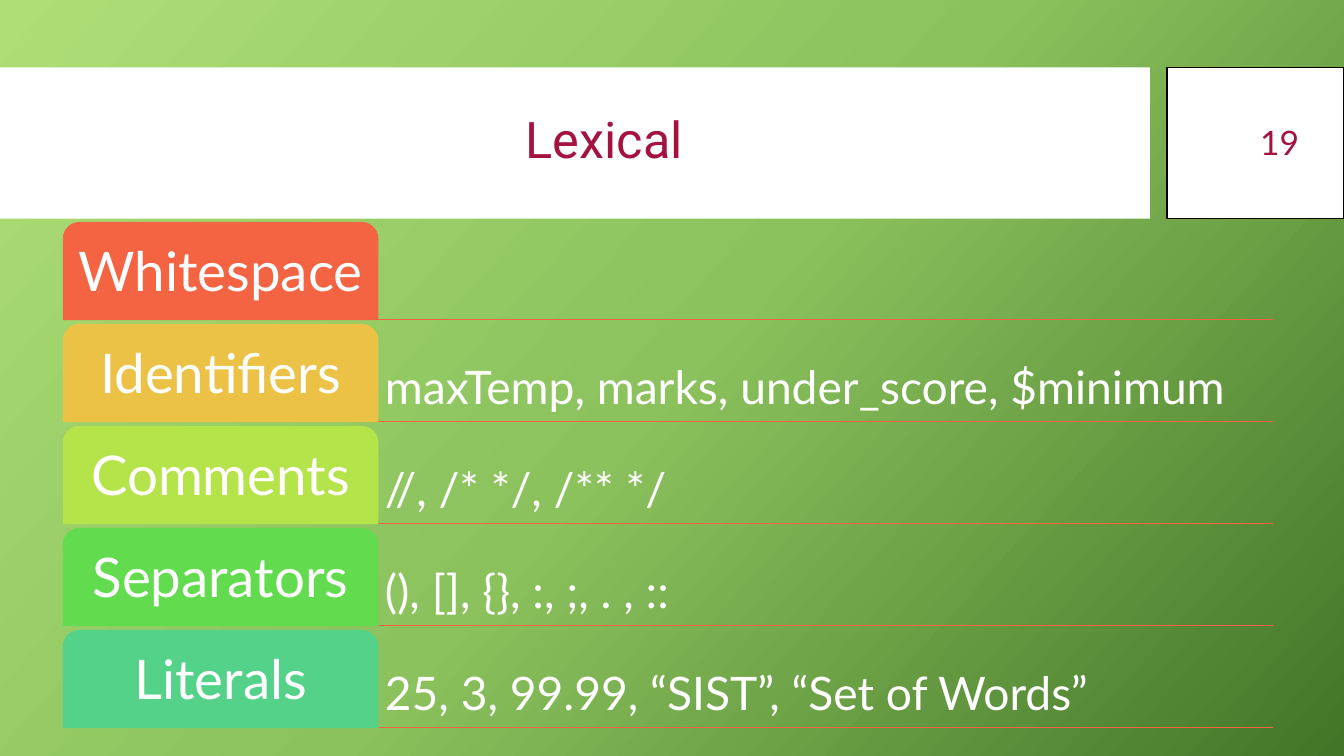
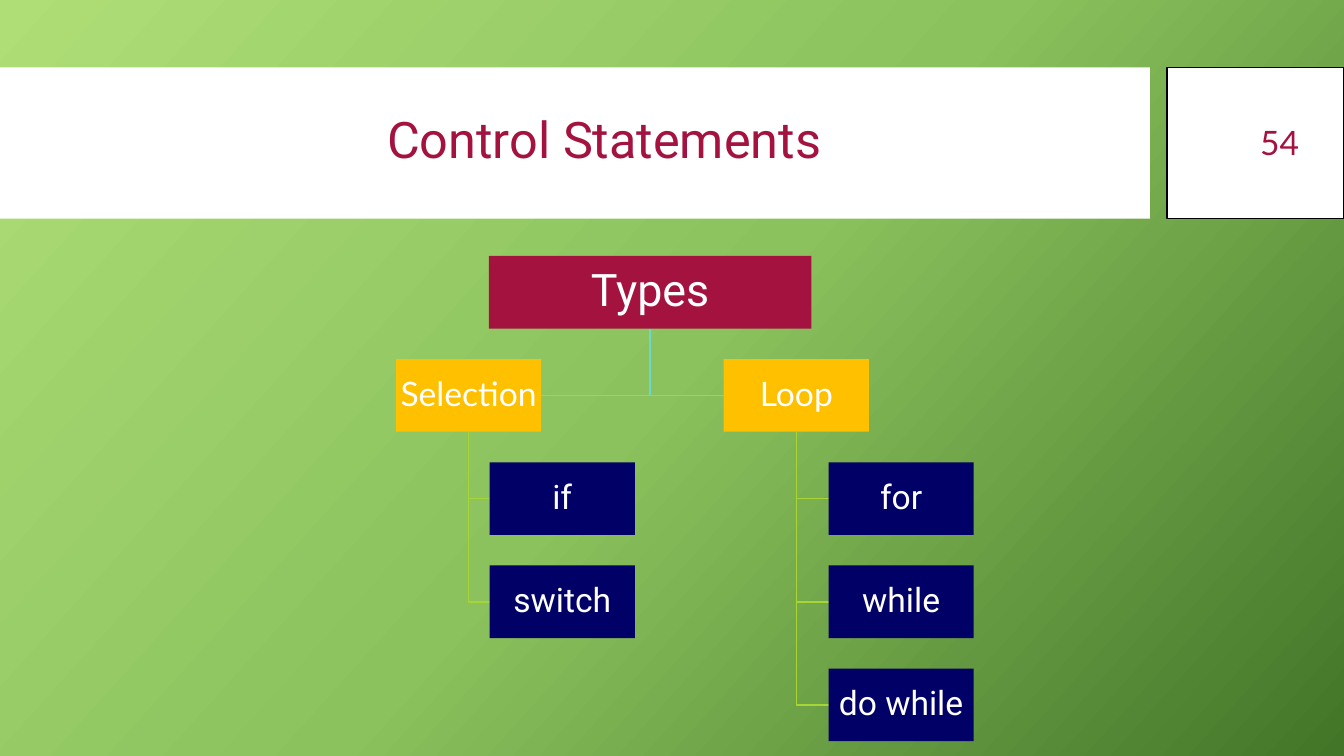
from lxml import etree
from pptx import Presentation
from pptx.dml.color import RGBColor
from pptx.enum.shapes import MSO_CONNECTOR, MSO_SHAPE
from pptx.enum.text import MSO_ANCHOR, PP_ALIGN
from pptx.oxml.ns import qn
from pptx.util import Cm, Pt

RECT, TAB = MSO_SHAPE.RECTANGLE, MSO_SHAPE.ROUND_2_SAME_RECTANGLE
STRAIGHT = MSO_CONNECTOR.STRAIGHT
MIDDLE, BOTTOM = MSO_ANCHOR.MIDDLE, MSO_ANCHOR.BOTTOM
LEFT, CENTER, RIGHT = PP_ALIGN.LEFT, PP_ALIGN.CENTER, PP_ALIGN.RIGHT

SLIDE_W, SLIDE_H = 33.87, 19.05
HEAD_FONT, BODY_FONT = "Roboto", "Lato"
WHITE, BLACK, CRIMSON = "FFFFFF", "000000", "A4123F"
ORANGE, GOLD, NAVY = "F46442", "FFC000", "000066"
TEAL, LIME = "6AD8CB", "A7D535"
BACKDROP = [(0, "AFDE77"), (50, "8BC25D"), (100, "437528")]
BACKDROP_ANGLE = 42

TOKENS = [
    ("Whitespace", "", ORANGE),
    ("Identifiers", "maxTemp, marks, under_score, $minimum", "ECC246"),
    ("Comments", "//, /* */, /** */", "B5E44A"),
    ("Separators", "(), [], {}, :, ;, . , ::", "62DB4F"),
    ("Literals", "25, 3, 99.99, “SIST”, “Set of Words”", "54D289"),
]
BRANCHES = [
    ("Selection", 0, 2.36, ["if", "switch"]),
    ("Loop", 8.26, 2.64, ["for", "while", "do while"]),
]


def rgb(value):
    """Turn a hex string into a colour."""
    return RGBColor.from_string(value)


def write(shape, text, size=24, font=BODY_FONT, color=WHITE, align=CENTER,
          anchor=MIDDLE, inset=0.25, spacing=0.9):
    """Put one formatted paragraph into a shape."""
    tf = shape.text_frame
    tf.word_wrap = True
    tf.vertical_anchor = anchor
    tf.margin_left = tf.margin_right = Cm(inset)
    tf.margin_top = tf.margin_bottom = Cm(min(inset, 0.2))
    p = tf.paragraphs[0]
    p.alignment = align
    p.line_spacing = spacing
    r = p.add_run()
    r.text = text
    r.font.size = Pt(size)
    r.font.name = font
    r.font.color.rgb = rgb(color)


def add_box(s, x, y, w, h, fill, line=None, kind=RECT):
    """Add a filled shape, with an outline if a line colour is given."""
    sp = s.shapes.add_shape(kind, Cm(x), Cm(y), Cm(w), Cm(h))
    sp.shadow.inherit = False
    sp.fill.solid()
    sp.fill.fore_color.rgb = rgb(fill)
    if line:
        sp.line.color.rgb = rgb(line)
        sp.line.width = Pt(1)
    else:
        sp.line.fill.background()
    return sp


def add_text(s, x, y, w, h, text, **style):
    """Add a text box."""
    sp = s.shapes.add_textbox(Cm(x), Cm(y), Cm(w), Cm(h))
    write(sp, text, **style)


def add_rule(s, x, y, w, color):
    """Add a horizontal line."""
    line = s.shapes.add_connector(STRAIGHT, Cm(x), Cm(y), Cm(x + w), Cm(y))
    line.line.color.rgb = rgb(color)
    line.line.width = Pt(1)
    etree.SubElement(line.element.spPr, qn("a:effectLst"))


def add_elbow(s, x1, y1, x2, y2, color):
    """Add a path that goes down and then sideways."""
    path = s.shapes.build_freeform(Cm(x1), Cm(y1))
    path.add_line_segments([(Cm(x1), Cm(y2)), (Cm(x2), Cm(y2))], close=False)
    sp = path.convert_to_shape()
    sp.shadow.inherit = False
    sp.fill.background()
    sp.line.color.rgb = rgb(color)
    sp.line.width = Pt(1)


def paint_background(s):
    """Fill the slide with the three-stop gradient."""
    fill = s.background.fill
    fill.gradient()
    fill.gradient_angle = 360 - BACKDROP_ANGLE
    stops = next(s.element.iter(qn("a:gsLst")))
    for stop in list(stops):
        stops.remove(stop)
    for percent, color in BACKDROP:
        stop = etree.SubElement(stops, qn("a:gs"), pos=str(percent * 1000))
        etree.SubElement(stop, qn("a:srgbClr"), val=color)


def add_slide(prs, title, number):
    """Add a slide with the shared background, title band and number box."""
    s = prs.slides.add_slide(prs.slide_layouts[6])
    paint_background(s)
    add_box(s, 0, 1.7, 28.98, 3.81, WHITE)
    add_box(s, 29.41, 1.7, 4.46, 3.81, WHITE, line=BLACK)
    add_text(s, 1.88, 2.08, 26.7, 3, title, size=36, font=HEAD_FONT,
             color=CRIMSON)
    add_text(s, 29.79, 2.08, 3.2, 3.02, str(number), color=CRIMSON,
             align=RIGHT, spacing=1.0)
    return s


def add_token_list(s, x, y, w, rows):
    """Add coloured tabs, each with its examples above a rule."""
    tab_w, tab_h, pitch = 7.92, 2.44, 2.57
    for i, (label, examples, color) in enumerate(rows):
        top = y + i * pitch
        add_rule(s, x, top + tab_h, w, ORANGE)
        tab = add_box(s, x, top, tab_w, tab_h, color, line=color, kind=TAB)
        write(tab, label, size=39, inset=0.2)
        if examples:
            add_text(s, x + tab_w, top, w - tab_w, tab_h, examples, size=33,
                     align=LEFT, anchor=BOTTOM, inset=0.18)


def add_tree(s, x, y, root, branches):
    """Add a root node with branches and their stacked leaves."""
    root_x, root_w, node_w, node_h, pitch = x + 2.34, 8.13, 3.66, 1.83, 2.6
    root_mid, branch_y = root_x + root_w / 2, y + pitch
    half = node_h / 2

    def add_node(left, top, width, text, fill, **style):
        """Add one labelled node."""
        node = add_box(s, left, top, width, node_h, fill)
        write(node, text, inset=0.05, **style)

    for label, dx, leaf_dx, leaves in branches:
        left = x + dx
        mid, leaf_x = left + node_w / 2, left + leaf_dx
        inner = left if left > root_mid else left + node_w
        add_elbow(s, root_mid, y + node_h, inner, branch_y + half, TEAL)
        add_node(left, branch_y, node_w, label, GOLD)
        for i, leaf in enumerate(leaves, 1):
            top = branch_y + i * pitch
            add_elbow(s, mid, branch_y + node_h, leaf_x, top + half, LIME)
            add_node(leaf_x, top, node_w, leaf, NAVY, font=HEAD_FONT)
    add_node(root_x, y, root_w, root, CRIMSON, size=32, font=HEAD_FONT)


def main():
    """Build and save the slides."""
    prs = Presentation()
    prs.slide_width, prs.slide_height = Cm(SLIDE_W), Cm(SLIDE_H)
    add_token_list(add_slide(prs, "Lexical", 19), 1.6, 5.61, 30.48, TOKENS)
    add_tree(add_slide(prs, "Control Statements", 54), 9.98, 6.45, "Types",
             BRANCHES)
    prs.save("out.pptx")


if __name__ == "__main__":
    main()
